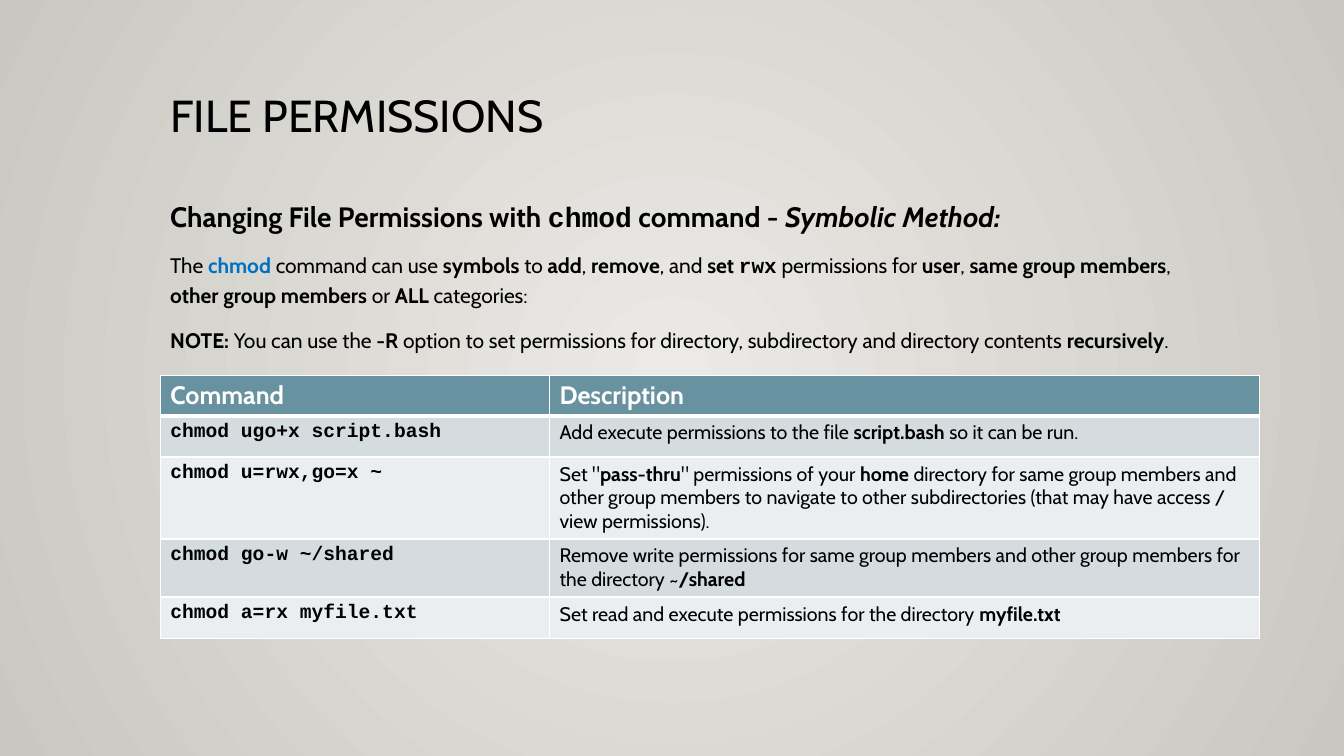
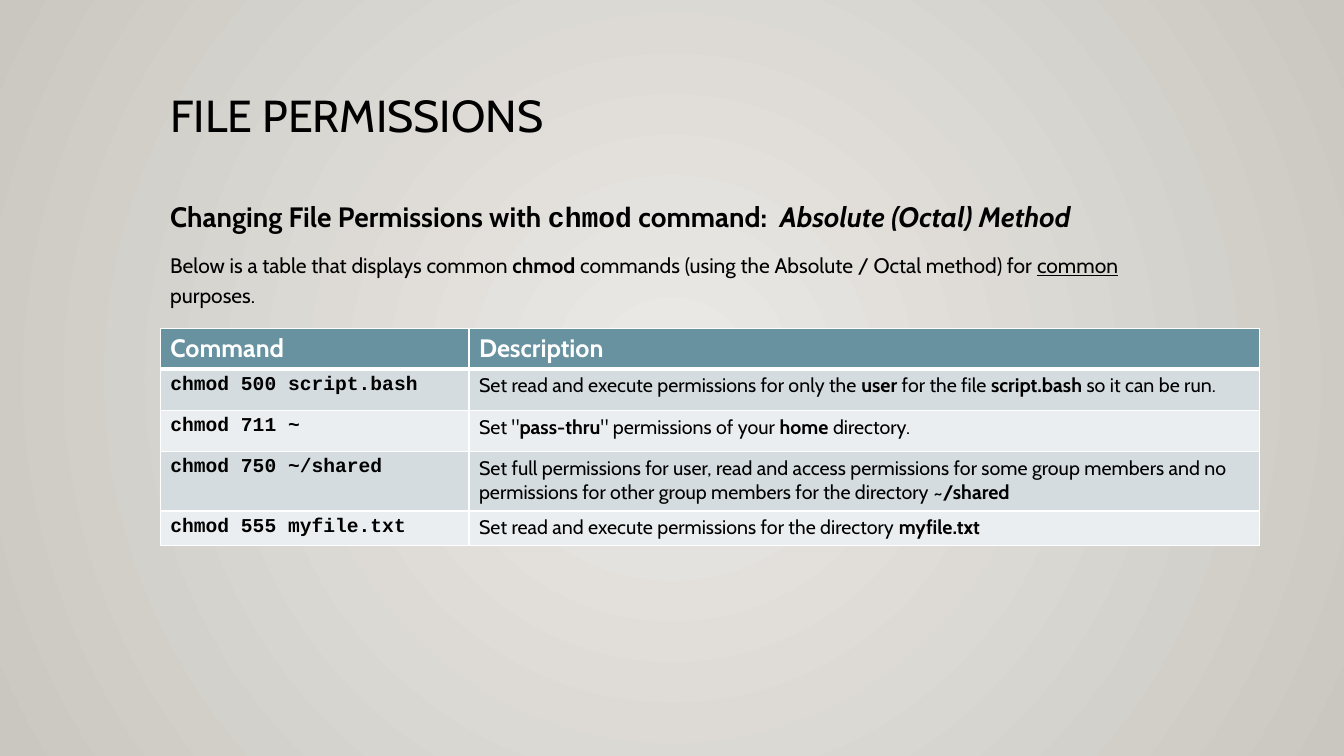
from dataclasses import dataclass

from lxml.etree import SubElement
from pptx import Presentation
from pptx.dml.color import RGBColor
from pptx.oxml.ns import qn
from pptx.util import Pt


@dataclass(frozen=True)
class Theme:
    font: str = "Cabin"
    mono: str = "Courier New"
    text: str = "000000"
    accent: str = "0070C0"
    white: str = "FFFFFF"
    header: str = "6892A0"
    bands: tuple = ("D4DCDF", "EBEEF0")
    background: tuple = ("ECEAE7", "CAC7C1")
    title_size: float = 32
    heading_size: float = 20
    body_size: float = 15
    header_size: float = 18
    cell_size: float = 14
    rule: float = 1
    header_rule: float = 3


T = Theme()
MARKS = "*`^_#"  # bold, monospaced, italic, underlined, accent colour
LEFT = 114.5
TITLE_BOX = (LEFT, 63.5, 756, 83)
BODY_TOP = 134.5
TABLE_WIDTH = 785

SLIDES = [
    dict(
        title="FILE PERMISSIONS",
        heading="*Changing File Permissions with `chmod` command - ^Symbolic Method:^*",
        body=[
            "The #*chmod*# command can use *symbols* to *add*, *remove*, and *set `rwx`* "
            "permissions for *user*, *same group members*, *other group members *or *ALL* "
            "categories:",
            "*NOTE:* You can use the *-R* option to set permissions for directory, "
            "subdirectory and directory contents *recursively*.",
        ],
        body_size=(731.5, 155),
        table_top=268,
        command_width=278,
        row_heights=(29, 29.5, 58.5, 41.5, 29.5),
        rows=[
            ("chmod ugo+x script.bash",
             "Add execute permissions to the file *script.bash* so it can be run."),
            ("chmod u=rwx,go=x ~",
             'Set "*pass-thru*" permissions of your *home* directory for same group members '
             "and other group members to navigate to other subdirectories (that may have "
             "access / view permissions)."),
            ("chmod go-w ~/shared",
             "Remove write permissions for same group members and other group members for "
             "the directory *~/shared*"),
            ("chmod a=rx myfile.txt",
             "Set read and execute permissions for the directory *myfile.txt*"),
        ],
    ),
    dict(
        title="FILE PERMISSIONS",
        heading="*Changing File Permissions with `chmod` command:  ^Absolute (Octal) Method^*",
        body=[
            "Below is a table that displays common *chmod* commands (using the Absolute / "
            "Octal method) for _common_ purposes.",
        ],
        body_size=(719.5, 100),
        table_top=234.5,
        command_width=220.5,
        row_heights=(29, 29.5, 29.5, 42.5, 24.5),
        rows=[
            ("chmod 500 script.bash",
             "Set read and execute permissions for only the *user* for the file "
             "*script.bash* so it can be run."),
            ("chmod 711 ~",
             'Set "*pass-thru*" permissions of your *home* directory.'),
            ("chmod 750 ~/shared",
             "Set full permissions for user, read and access permissions for some group "
             "members and no permissions for other group members for the directory *~/shared*"),
            ("chmod 555 myfile.txt",
             "Set read and execute permissions for the directory *myfile.txt*"),
        ],
    ),
]


def rgb(color):
    return RGBColor.from_string(color)


def split_marks(marked):
    """Return (text, active marks) pairs; each mark switches its style on or off."""
    pieces, active, text = [], frozenset(), ""
    for char in marked:
        if char not in MARKS:
            text += char
            continue
        if text:
            pieces.append((text, active))
        active, text = active ^ {char}, ""
    if text:
        pieces.append((text, active))
    return pieces


def write(p, marked, size, color=T.text):
    """Fill a paragraph with runs styled by the marks in the text."""
    for text, active in split_marks(marked):
        r = p.add_run()
        r.text = text
        r.font.size = Pt(size)
        r.font.name = T.mono if "`" in active else T.font
        r.font.bold = "*" in active
        r.font.italic = "^" in active
        r.font.underline = "_" in active
        r.font.color.rgb = rgb(T.accent if "#" in active else color)


def set_background(master):
    """Give the master a gradient that spreads from the centre."""
    fill = master.background.fill
    fill.gradient()
    for stop, color in zip(fill.gradient_stops, T.background):
        stop.color.rgb = rgb(color)
    grad = master.element.find(".//" + qn("p:bg") + "//" + qn("a:gradFill"))
    for lin in grad.findall(qn("a:lin")):
        grad.remove(lin)
    circle = SubElement(grad, qn("a:path"), path="circle")
    SubElement(circle, qn("a:fillToRect"), l="50000", t="50000", r="50000", b="50000")


def add_text(s, box, paragraphs, line_spacing, space_before=0):
    """Place a wrapped text box holding (marked text, size) paragraphs."""
    tf = s.shapes.add_textbox(*map(Pt, box)).text_frame
    tf.word_wrap = True
    for i, (marked, size) in enumerate(paragraphs):
        p = tf.add_paragraph() if i else tf.paragraphs[0]
        p.line_spacing = line_spacing
        p.space_before = Pt(space_before)
        write(p, marked, size)


def set_borders(cell, top, bottom):
    tc_pr = cell._tc.get_or_add_tcPr()
    for side, width in zip("LRTB", (T.rule, T.rule, top, bottom)):
        ln = SubElement(tc_pr, qn(f"a:ln{side}"), w=str(Pt(width)))
        fill = SubElement(ln, qn("a:solidFill"))
        SubElement(fill, qn("a:srgbClr"), val=T.white)


def add_command_table(s, box, command_width, row_heights, rows):
    left, top, width, height = map(Pt, box)
    table = s.shapes.add_table(len(rows) + 1, 2, left, top, width, height).table
    table.columns[0].width = Pt(command_width)
    table.columns[1].width = width - Pt(command_width)
    for row, row_height in zip(table.rows, row_heights):
        row.height = Pt(row_height)
    lines = [("*Command*", "*Description*")]
    lines += [(f"*`{command}`*", description) for command, description in rows]
    for i, line in enumerate(lines):
        is_header = i == 0
        for cell, marked in zip(table.rows[i].cells, line):
            set_borders(cell, T.header_rule if i == 1 else T.rule,
                        T.header_rule if is_header else T.rule)
            cell.fill.solid()
            cell.fill.fore_color.rgb = rgb(T.header if is_header else T.bands[(i - 1) % 2])
            write(cell.text_frame.paragraphs[0], marked,
                  T.header_size if is_header else T.cell_size,
                  T.white if is_header else T.text)


def add_command_slide(prs, content):
    s = prs.slides.add_slide(prs.slide_layouts[6])
    add_text(s, TITLE_BOX, [(content["title"], T.title_size)], 0.9)
    paragraphs = [(content["heading"], T.heading_size)]
    paragraphs += [(text, T.body_size) for text in content["body"]]
    add_text(s, (LEFT, BODY_TOP, *content["body_size"]), paragraphs, 1.2, 10)
    heights = content["row_heights"]
    add_command_table(s, (LEFT, content["table_top"], TABLE_WIDTH, sum(heights)),
                      content["command_width"], heights, content["rows"])


def main():
    prs = Presentation()
    prs.slide_width, prs.slide_height = Pt(960), Pt(540)
    set_background(prs.slide_master)
    for content in SLIDES:
        add_command_slide(prs, content)
    prs.save("out.pptx")


if __name__ == "__main__":
    main()
